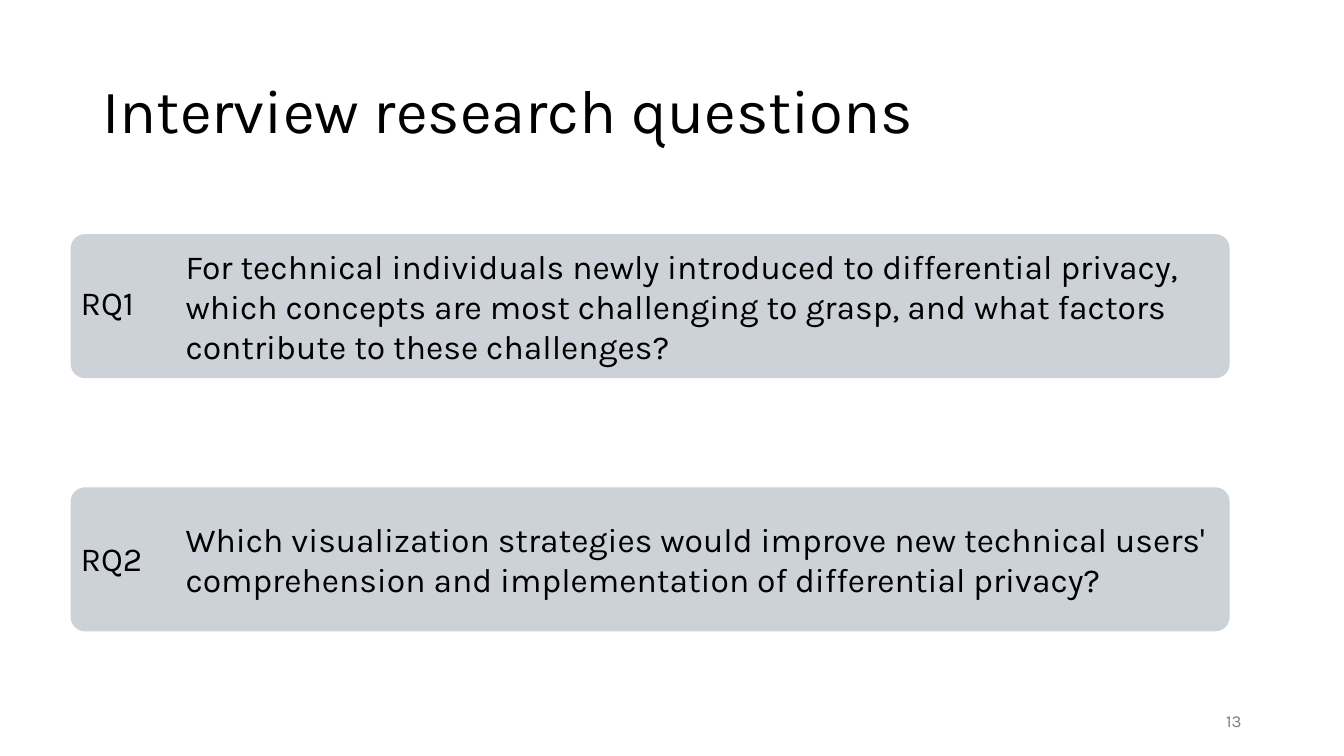
from dataclasses import dataclass

from pptx import Presentation
from pptx.dml.color import RGBColor
from pptx.enum.shapes import MSO_SHAPE
from pptx.enum.text import MSO_ANCHOR, PP_ALIGN
from pptx.util import Cm, Pt


@dataclass(frozen=True)
class Theme:
    font: str = "Karla"
    ink: RGBColor = RGBColor(0x00, 0x00, 0x00)
    muted: RGBColor = RGBColor(0x79, 0x79, 0x79)
    panel: RGBColor = RGBColor(0xCC, 0xD2, 0xD8)
    title_size: Pt = Pt(44)
    body_size: Pt = Pt(24)
    number_size: Pt = Pt(12)


theme = Theme()


def place(shape, left, top, width, height):
    box = {"left": left, "top": top, "width": width, "height": height}
    for name, value in box.items():
        setattr(shape, name, Cm(value))


def write(shape, text, size, color=theme.ink, align=PP_ALIGN.LEFT, anchor=MSO_ANCHOR.MIDDLE):
    """Fill the shape with one formatted paragraph and return it."""
    frame = shape.text_frame
    frame.text = text
    frame.word_wrap = True
    frame.vertical_anchor = anchor
    paragraph = frame.paragraphs[0]
    paragraph.alignment = align
    font = paragraph.runs[0].font
    for name, value in {"name": theme.font, "size": size}.items():
        setattr(font, name, value)
    font.color.rgb = color
    return paragraph


presentation = Presentation()
presentation.slide_width = Cm(33.87)
presentation.slide_height = Cm(19.05)
slide = presentation.slides.add_slide(presentation.slide_layouts[5])

title = slide.shapes.title
place(title, 2.33, 1.01, 29.21, 3.68)
write(title, "Interview research questions", theme.title_size).line_spacing = 0.9

questions = [
    "For technical individuals newly introduced to differential privacy, "
    "which concepts are most challenging to grasp, and what factors "
    "contribute to these challenges?",
    "Which visualization strategies would improve new technical users' "
    "comprehension and implementation of differential privacy?",
]
left, first_top, pitch = 1.78, 5.9, 6.38
panel_width, panel_height = 29.21, 3.63
label_offset, label_pitch = 1.09, 6.43

for index, question in enumerate(questions):
    top = first_top + index * pitch
    panel = slide.shapes.add_shape(
        MSO_SHAPE.ROUNDED_RECTANGLE, Cm(left), Cm(top), Cm(panel_width), Cm(panel_height)
    )
    panel.adjustments[0] = 0.1
    panel.shadow.inherit = False
    panel.fill.solid()
    panel.fill.fore_color.rgb = theme.panel
    panel.line.fill.background()
    paragraph = write(panel, question, theme.body_size)
    paragraph.level = 2
    indents = paragraph._p.get_or_add_pPr()
    for name, value in {"marL": Cm(2.54), "indent": Cm(0)}.items():
        indents.set(name, str(value))

for index in range(len(questions)):
    label_top = first_top + label_offset + index * label_pitch
    label = slide.shapes.add_textbox(Cm(left), Cm(label_top), Cm(3.3), Cm(1.28))
    write(label, f"RQ{index + 1}", theme.body_size, anchor=MSO_ANCHOR.TOP)

page_number = slide.shapes.add_textbox(Cm(23.92), Cm(17.66), Cm(7.62), Cm(1.01))
write(page_number, "13", theme.number_size, theme.muted, PP_ALIGN.RIGHT)

presentation.save("out.pptx")
